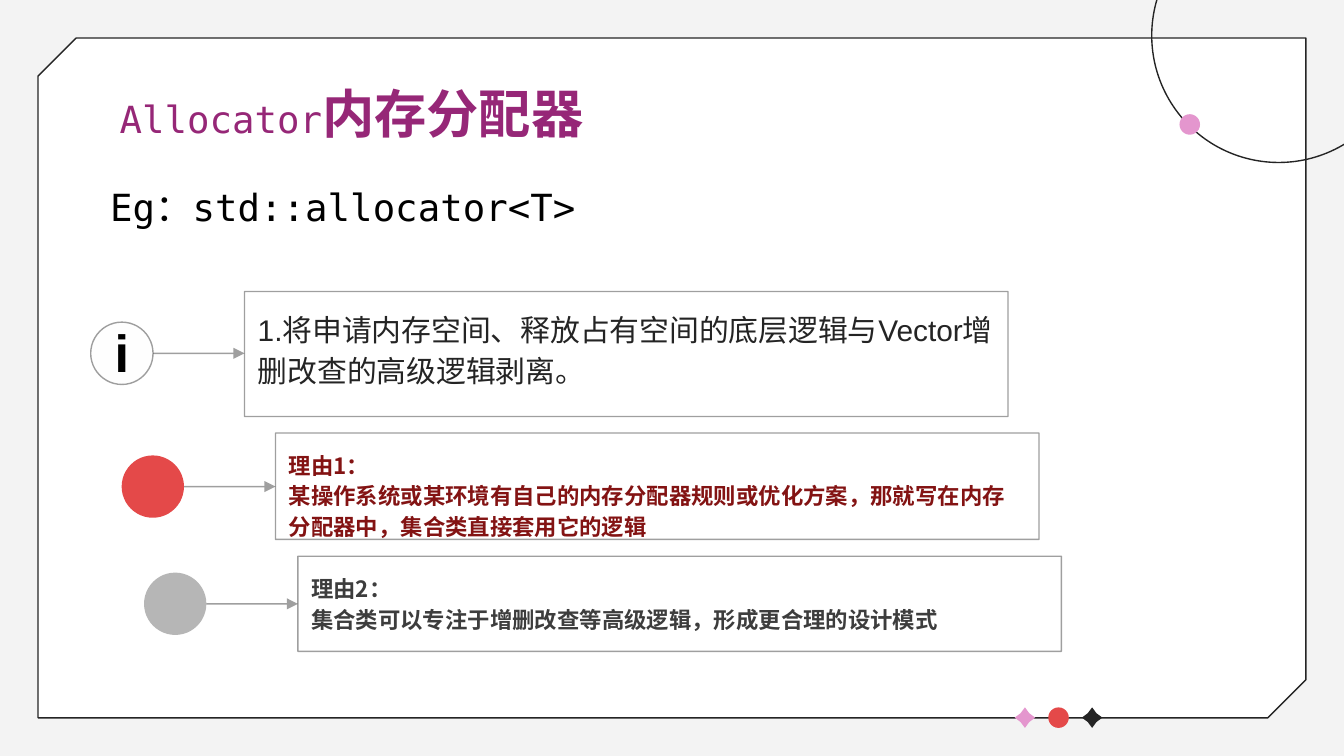
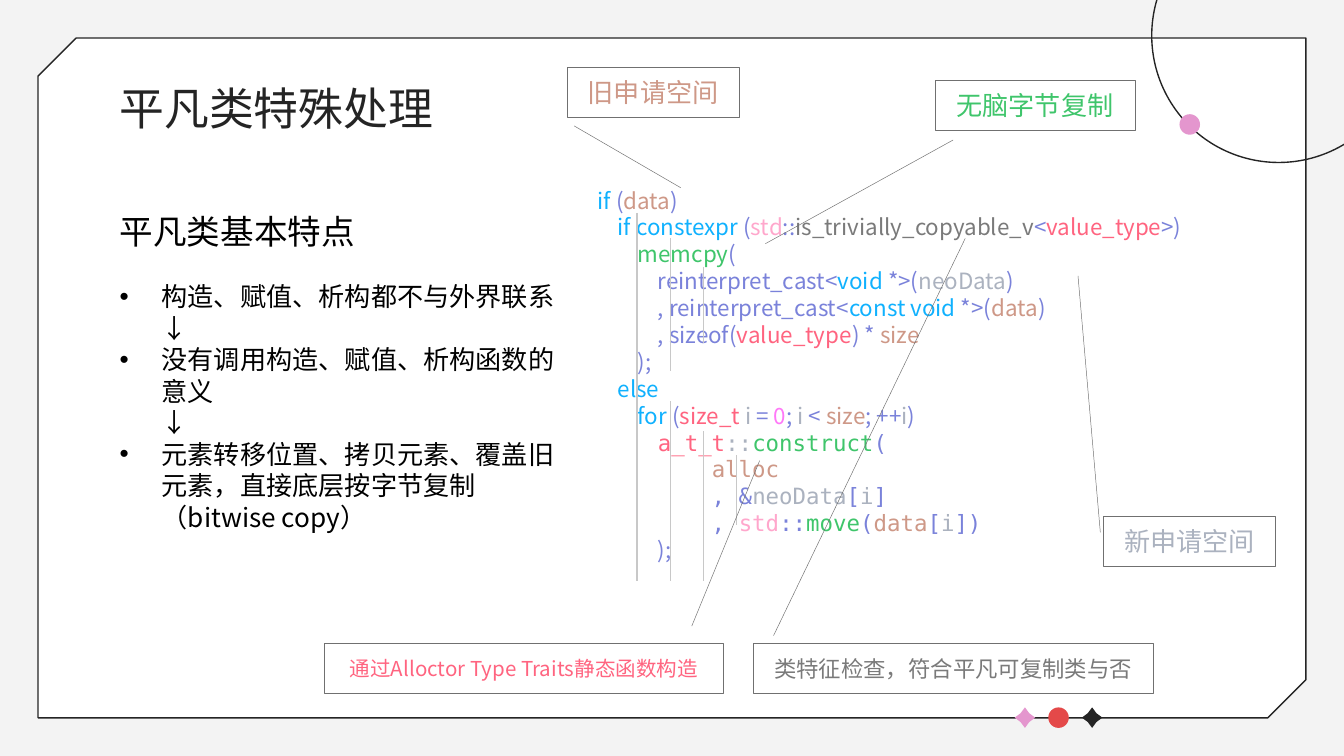
from dataclasses import dataclass
from itertools import groupby

from lxml import etree
from pptx import Presentation
from pptx import util as u
from pptx.dml.color import RGBColor
from pptx.enum import shapes, text
from pptx.oxml.ns import qn

Pt = u.Pt
Shape = shapes.MSO_SHAPE
Align = text.PP_ALIGN
Anchor = text.MSO_ANCHOR

SANS = "Noto Sans CJK SC"
MONO = "DejaVu Sans Mono"
COLORS = {
    "page": "F3F3F3", "white": "FFFFFF", "badge": "FEFEFE", "ink": "242424",
    "black": "000000", "pink": "E496CE", "red": "E44949", "silver": "B6B6B6",
    "plum": "962777", "maroon": "831313", "charcoal": "3D3D3D",
    "outline": "404040", "guide": "C8C8C8", "callout": "707070",
    "symbol": "7A82DA", "keyword": "10B1FE", "old": "CE9887", "new": "ABB2BF",
    "space": "FFA7CC", "trait": "7A7A7A", "type": "FF6480", "call": "3FC56B",
    "number": "FF78F8",
}

CODE = """if (data)
    if constexpr (std::is_trivially_copyable_v<value_type>)
        memcpy(
            reinterpret_cast<void *>(neoData)
            , reinterpret_cast<const void *>(data)
            , sizeof(value_type) * size
        );
    else
        for (size_t i = 0; i < size; ++i)
            a_t_t::construct(
                alloc
                , &neoData[i]
                , std::move(data[i])
            );"""
MONO_LINES = range(9, 13)
DEEPEST_INDENT = 12
SYNTAX = {
    **dict.fromkeys(("if", "constexpr", "void", "const", "else", "for"), "keyword"),
    **dict.fromkeys(("data", "size", "alloc"), "old"),
    **dict.fromkeys(("neoData", "i", "a_t_t::"), "new"),
    **dict.fromkeys(("value_type", "size_t", "a_t_t"), "type"),
    **dict.fromkeys(("memcpy", "construct", "move"), "call"),
    "std": "space", "is_trivially_copyable_v": "trait", "0": "number",
}


@dataclass(frozen=True)
class Span:
    text: str
    size: float
    color: str
    font: str = SANS
    bold: bool = False


@dataclass(frozen=True)
class Card:
    """A bordered note with a round marker and an arrow on its left."""
    left: float
    top: float
    height: float
    lines: tuple[Span, ...]
    line_height: float
    marker_color: str
    marker_middle: float
    marker_text: str = ""


@dataclass(frozen=True)
class Callout:
    left: float
    top: float
    width: float
    pointer: tuple[float, float, float, float]
    label: Span


CARDS = (
    Card(131, 156.2, 67, (Span("1.将申请内存空间、释放占有空间的底层逻辑与Vector增删改查的高级逻辑剥离。",
                               16, "ink", "Arial"),), 22, "badge", 189.3, "i"),
    Card(147.6, 232, 57, (Span("理由1：", 12, "maroon", bold=True),
                          Span("某操作系统或某环境有自己的内存分配器规则或优化方案，那就写在内存分配器中，集合类直接套用它的逻辑",
                               12, "maroon", bold=True)), 16.4, "red", 260.7),
    Card(159.6, 298, 51, (Span("理由2：", 12, "charcoal", bold=True),
                          Span("集合类可以专注于增删改查等高级逻辑，形成更合理的设计模式",
                               12, "charcoal", bold=True)), 16.4, "silver", 323.5),
)
CALLOUTS = (
    Callout(304, 36, 92, (1.18, 0.04, 2.42, 0.66), Span("旧申请空间", 14, "old")),
    Callout(591.3, 276.5, 92, (0.33, -0.02, -4.82, -0.15), Span("新申请空间", 14, "new")),
    Callout(403.7, 344.8, 214, (-0.16, 0.05, -8.13, 0.53),
            Span("类特征检查，符合平凡可复制类与否", 12, "trait")),
    Callout(501, 43, 107, (1.2, 0.09, 3.28, -0.85), Span("无脑字节复制", 14, "call")),
    Callout(173.7, 344.8, 214, (-0.35, 0.92, -3.67, 1.09),
            Span("通过Alloctor Type Traits静态函数构造", 11, "type")),
)
GUIDES = (  # x, top, bottom
    (341.2, 114, 311.5), (359.2, 127.5, 199), (359.2, 215, 311.5),
    (377, 143, 184), (377, 231, 311.5), (394.5, 244, 281.5),
)
FEATURES = (
    ("构造、赋值、析构都不与外界联系", True),
    ("↓", False),
    ("没有调用构造、赋值、析构函数的意义", True),
    ("↓", False),
    ("元素转移位置、拷贝元素、覆盖旧元素，直接底层按字节复制（bitwise copy）", True),
)


def rgb(name: str) -> RGBColor:
    return RGBColor.from_string(COLORS[name])


def child(parent, tag: str, **attributes: str):
    node = etree.SubElement(parent, qn(tag))
    for key, value in attributes.items():
        node.set(key, value)
    return node


def fade(shape) -> None:
    """Make every colour of the shape half transparent."""
    for color in shape._element.spPr.iter(qn("a:srgbClr")):
        child(color, "a:alpha", val="50000")


def add_arrowhead(shape) -> None:
    child(shape._element.spPr.find(qn("a:ln")), "a:tailEnd", type="triangle")


def draw_shape(page, kind, left: float, top: float, width: float, height: float,
               fill: str = "", line: str = "", weight: float = 0.75,
               adjust: tuple[float, ...] = ()):
    shape = page.shapes.add_shape(kind, Pt(left), Pt(top), Pt(width), Pt(height))
    shape.shadow.inherit = False
    for index, value in enumerate(adjust):
        shape.adjustments[index] = value
    if fill:
        shape.fill.solid()
        shape.fill.fore_color.rgb = rgb(fill)
    else:
        shape.fill.background()
    if line:
        shape.line.color.rgb = rgb(line)
        shape.line.width = Pt(weight)
    else:
        shape.line.fill.background()
    return shape


def draw_line(page, x1: float, y1: float, x2: float, y2: float, color: str):
    line = page.shapes.add_connector(shapes.MSO_CONNECTOR.STRAIGHT,
                                     Pt(x1), Pt(y1), Pt(x2), Pt(y2))
    line.line.color.rgb = rgb(color)
    line.line.width = Pt(0.75)
    child(line._element.spPr, "a:effectLst")
    return line


def draw_box(page, left: float, top: float, width: float, height: float,
             inset: float = 3.6, left_inset: float = 7.2):
    box = page.shapes.add_textbox(Pt(left), Pt(top), Pt(width), Pt(height))
    set_frame(box.text_frame, inset, left_inset)
    return box


def set_frame(frame, inset: float, left_inset: float = 7.2, anchor=Anchor.TOP) -> None:
    frame.word_wrap = True
    frame.margin_left, frame.margin_right = Pt(left_inset), Pt(7.2)
    frame.margin_top = frame.margin_bottom = Pt(inset)
    frame.vertical_anchor = anchor


def write(para, spans, line_height: float, align=Align.LEFT) -> None:
    para.alignment = align
    para.line_spacing = Pt(line_height)
    for span in spans:
        run = para.add_run()
        run.text = span.text
        run.font.size = Pt(span.size)
        run.font.bold = span.bold
        run.font.color.rgb = rgb(span.color)
        run.font.name = span.font
        child(run._r.get_or_add_rPr(), "a:ea", typeface=SANS)


def paragraphs(frame, count: int):
    """Yield the first paragraph of the frame, then new ones."""
    for index in range(count):
        yield frame.add_paragraph() if index else frame.paragraphs[0]


def start_page(deck, title: tuple[Span, ...], title_height: float):
    page = deck.slides.add_slide(deck.slide_layouts[6])
    page.background.fill.solid()
    page.background.fill.fore_color.rgb = rgb("page")

    panel = draw_shape(page, Shape.SNIP_2_DIAG_RECTANGLE, 20.4, 20.4, 679.2, 364.2,
                       "white", "ink", adjust=(0, 0.056))
    panel._element.spPr.find(qn("a:xfrm")).set("flipH", "1")
    ornaments = ((Shape.STAR_4_POINT, "pink", (0.3,)), (Shape.OVAL, "red", ()),
                 (Shape.STAR_4_POINT, "ink", (0.3,)))
    for index, (kind, color, adjust) in enumerate(ornaments):
        draw_shape(page, kind, 543.6 + 18 * index, 379, 11, 11, color, adjust=adjust)
    arc = draw_shape(page, Shape.ARC, 617, -49, 136, 136, line="ink",
                     adjust=(162 * 0.6, 150.08 * 0.6))
    arc.rotation = 225
    add_arrowhead(arc)
    draw_shape(page, Shape.OVAL, 631.9, 61.2, 11, 11, "pink")

    box = draw_box(page, 57, 34, 607, 45, inset=7.2)
    write(box.text_frame.paragraphs[0], title, title_height)
    return page


def draw_card(page, card: Card) -> None:
    box = draw_shape(page, Shape.RECTANGLE, card.left, card.top, 409, card.height,
                     line="outline")
    fade(box)
    set_frame(box.text_frame, 8.2)
    for para, line in zip(paragraphs(box.text_frame, len(card.lines)), card.lines):
        write(para, (line,), card.line_height)

    size, gap = 33.4, 49
    left = card.left - gap - size
    marker = draw_shape(page, Shape.OVAL, left, card.marker_middle - size / 2, size, size,
                        card.marker_color, "outline" if card.marker_text else "")
    if card.marker_text:
        fade(marker)
        set_frame(marker.text_frame, 7.2, anchor=Anchor.MIDDLE)
        write(marker.text_frame.paragraphs[0],
              (Span(card.marker_text, 28, "black", "Arial", True),), 32, Align.CENTER)
    arrow = draw_line(page, left + size, card.marker_middle,
                      card.left, card.marker_middle, "outline")
    fade(arrow)
    add_arrowhead(arrow)


def draw_features(page) -> None:
    frame = draw_box(page, 57, 108, 248, 181).text_frame
    heading, *items = paragraphs(frame, len(FEATURES) + 1)
    write(heading, (Span("平凡类基本特点", 18, "black"),), 23)
    items[0].space_before = Pt(15.6)
    for para, (feature, bulleted) in zip(items, FEATURES):
        write(para, (Span(feature, 14, "black"),), 16.9)
        properties = para._p.get_or_add_pPr()
        properties.set("marL", str(Pt(22.5)))
        properties.set("indent", str(Pt(-22.5 if bulleted else 0)))
        if bulleted:
            child(properties, "a:buFont", typeface="Arial")
            child(properties, "a:buChar", char="•")


def code_spans(line: str, font: str) -> list[Span]:
    """Colour one line of code word by word."""
    indent = min(len(line) - len(line.lstrip()), DEEPEST_INDENT)
    spans = [Span(line[:indent], 12, "new")] if indent else []
    previous = ""
    for _, letters in groupby(line[indent:], lambda c: c.isalnum() or c == "_"):
        token = "".join(letters)
        color = SYNTAX.get(previous + token, SYNTAX.get(token, "symbol"))
        spans.append(Span(token, 12, color, font))
        previous = token
    return spans


def draw_code(page) -> None:
    lines = CODE.splitlines()
    frame = draw_box(page, 281, 96.5, 482, 254, left_inset=39.2).text_frame
    for index, para in enumerate(paragraphs(frame, len(lines))):
        font = MONO if index in MONO_LINES else SANS
        write(para, code_spans(lines[index], font), 14.4)


def draw_callout(page, callout: Callout) -> None:
    shape = draw_shape(page, Shape.LINE_CALLOUT_1, callout.left, callout.top,
                       callout.width, 26.7, "white", "callout", 0.25, callout.pointer)
    set_frame(shape.text_frame, 3.6, anchor=Anchor.MIDDLE)
    write(shape.text_frame.paragraphs[0], (callout.label,),
          callout.label.size * 1.2, Align.CENTER)


def main() -> None:
    deck = Presentation()
    deck.slide_width, deck.slide_height = Pt(720), Pt(405)

    page = start_page(deck, (Span("Allocator", 20, "plum", MONO),
                             Span("内存分配器", 28, "plum", bold=True)), 36)
    box = draw_box(page, 52, 93, 276.5, 55)
    write(box.text_frame.paragraphs[0], (Span("Eg：std::allocator<T>", 20, "black", MONO),), 26)
    for card in CARDS:
        draw_card(page, card)

    page = start_page(deck, (Span("平凡类特殊处理", 24, "ink"),), 31)
    draw_features(page)
    draw_code(page)
    for x, top, bottom in GUIDES:
        draw_line(page, x, top, x, bottom, "guide")
    for callout in CALLOUTS:
        draw_callout(page, callout)

    deck.save("out.pptx")


if __name__ == "__main__":
    main()
